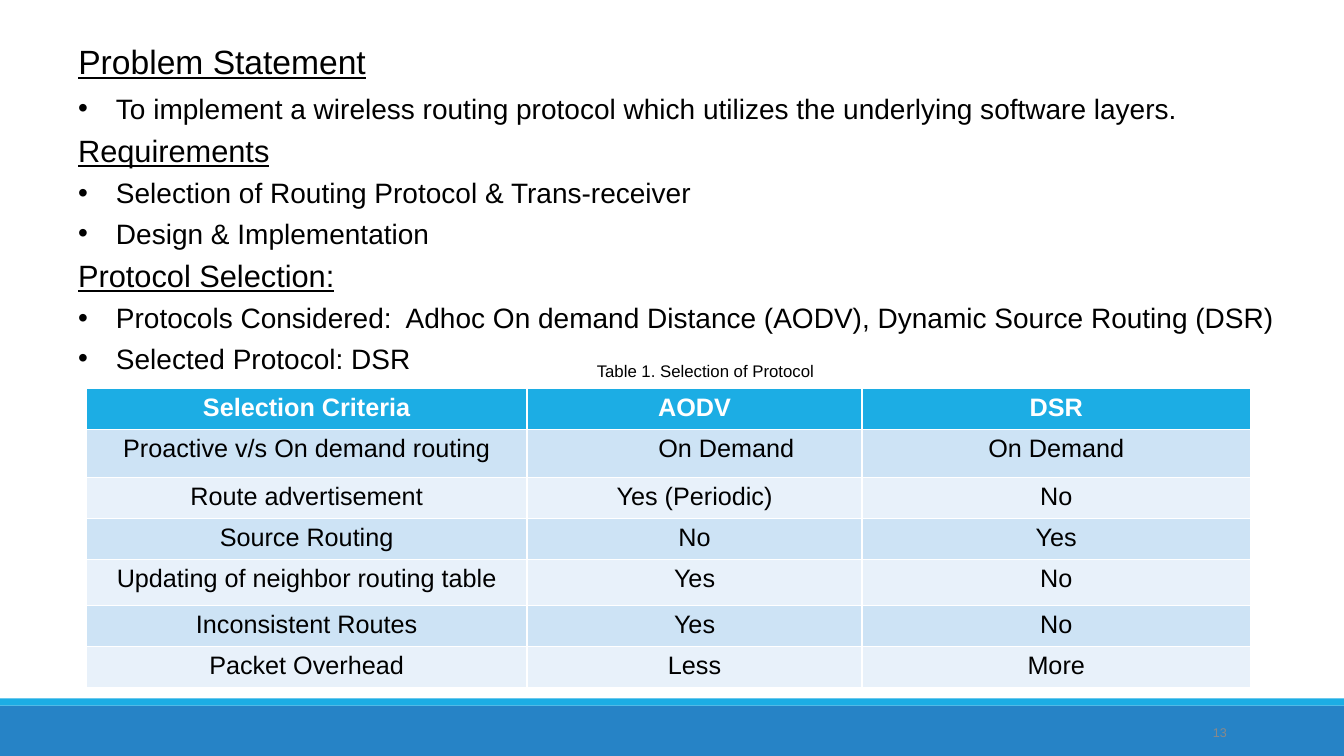
from lxml import etree
from pptx import Presentation
from pptx.dml.color import RGBColor as Rgb
from pptx.enum.shapes import MSO_SHAPE as Shape
from pptx.enum.text import MSO_ANCHOR as Anchor, PP_ALIGN as Align
from pptx.oxml.ns import qn
from pptx.util import Pt

SCALE = 9525
INDENT = 36
BODY = [
    ("item", "To implement a wireless routing protocol which utilizes the underlying software layers."),
    ("head", "Requirements"),
    ("item", "Selection of Routing Protocol & Trans-receiver"),
    ("item", "Design & Implementation"),
    ("head", "Protocol Selection:"),
    ("item", "Protocols Considered:  Adhoc On demand Distance (AODV), Dynamic Source Routing (DSR)"),
    ("item", "Selected Protocol: DSR"),
]
ROWS = [
    ("Selection Criteria", "AODV", "DSR"),
    ("Proactive v/s On demand routing", "On Demand", "On Demand"),
    ("Route advertisement", "Yes (Periodic)", "No"),
    ("Source Routing", "No", "Yes"),
    ("Updating of neighbor routing table", "Yes", "No"),
    ("Inconsistent Routes", "Yes", "No"),
    ("Packet Overhead", "Less", "More"),
]
WIDTHS = (420, 319, 370)
HEIGHTS = (39, 46, 39, 39, 44, 39, 39)
FORMATS = {
    "title": {"size": Pt(24), "underline": True},
    "head": {"size": Pt(22), "underline": True},
    "item": {"size": Pt(20)},
    "top": {"size": Pt(18), "bold": True},
    "cell": {"size": Pt(18), "bold": False},
    "note": {"size": Pt(12)},
    "page": {"size": Pt(9)},
}


def px(*sizes):
    """Turn pixel lengths into EMU."""
    return [size * SCALE for size in sizes]


def color(code):
    """Turn a hex string into a colour."""
    return Rgb.from_string(code)


def write(para, text, kind, ink="000000", align=Align.LEFT):
    """Write one formatted run into a paragraph."""
    para.alignment = align
    run = para.add_run()
    run.text = text
    run.font.color.rgb = color(ink)
    for name, value in {"name": "Arial", **FORMATS[kind]}.items():
        setattr(run.font, name, value)


def add_bar(slide, box, fill):
    """Draw a plain filled bar."""
    bar = slide.shapes.add_shape(Shape.RECTANGLE, *px(*box))
    bar.shadow.inherit = False
    bar.fill.solid()
    bar.fill.fore_color.rgb = color(fill)
    bar.line.fill.background()


def add_title(slide, box, text):
    """Place and fill the title placeholder."""
    title = slide.shapes.title
    title.left, title.top, title.width, title.height = px(*box)
    title.text_frame.vertical_anchor = Anchor.TOP
    write(title.text_frame.paragraphs[0], text, "title")


def add_text(slide, box):
    """Add a wrapping text box and return its frame."""
    frame = slide.shapes.add_textbox(*px(*box)).text_frame
    frame.word_wrap = True
    return frame


def add_bullet(para):
    """Give a paragraph a round bullet and a hanging indent."""
    props = para._p.get_or_add_pPr()
    hang, = px(INDENT)
    props.set("marL", str(hang))
    props.set("indent", str(-hang))
    etree.SubElement(props, qn("a:buFont")).set("typeface", "Arial")
    etree.SubElement(props, qn("a:buChar")).set("char", "•")


def add_body(slide, box):
    """Add the headings and bulleted items."""
    frame = add_text(slide, box)
    for row, (kind, text) in enumerate(BODY):
        para = frame.add_paragraph() if row else frame.paragraphs[0]
        para.space_before = Pt(5 if row else 1)
        if kind == "item":
            add_bullet(para)
        write(para, text, kind)


def add_grid(slide, left, top):
    """Add the table that compares the protocols."""
    box = px(left, top, sum(WIDTHS), sum(HEIGHTS))
    table = slide.shapes.add_table(len(ROWS), len(WIDTHS), *box).table
    for col, width in zip(table.columns, px(*WIDTHS)):
        col.width = width
    for row, height in zip(table.rows, px(*HEIGHTS)):
        row.height = height
    for r, texts in enumerate(ROWS):
        kind, ink = ("cell", "000000") if r else ("top", "FFFFFF")
        fill = ("E8F1FA", "CDE3F5")[r % 2] if r else "1CADE4"
        for c, text in enumerate(texts):
            cell = table.cell(r, c)
            cell.fill.solid()
            cell.fill.fore_color.rgb = color(fill)
            write(cell.text_frame.paragraphs[0], text, kind, ink, Align.CENTER)
    table.cell(1, 1).margin_left, = px(70)


def main():
    """Build the slide and save it."""
    deck = Presentation()
    deck.slide_width, deck.slide_height = px(1280, 720)
    slide = deck.slides.add_slide(deck.slide_layouts[5])
    add_bar(slide, (0, 672, 1280, 48), "2683C6")
    add_bar(slide, (0, 665, 1280, 7), "1CADE4")
    add_title(slide, (65, 34, 880, 46), "Problem Statement")
    add_body(slide, (65, 82, 1173, 360))
    add_grid(slide, 82, 370)
    note = add_text(slide, (517, 339, 310, 29))
    write(note.paragraphs[0], "Table 1. Selection of Protocol", "note", align=Align.CENTER)
    page = add_text(slide, (1100, 686, 78, 24))
    write(page.paragraphs[0], "13", "page", "898989", Align.RIGHT)
    deck.save("out.pptx")


if __name__ == "__main__":
    main()
